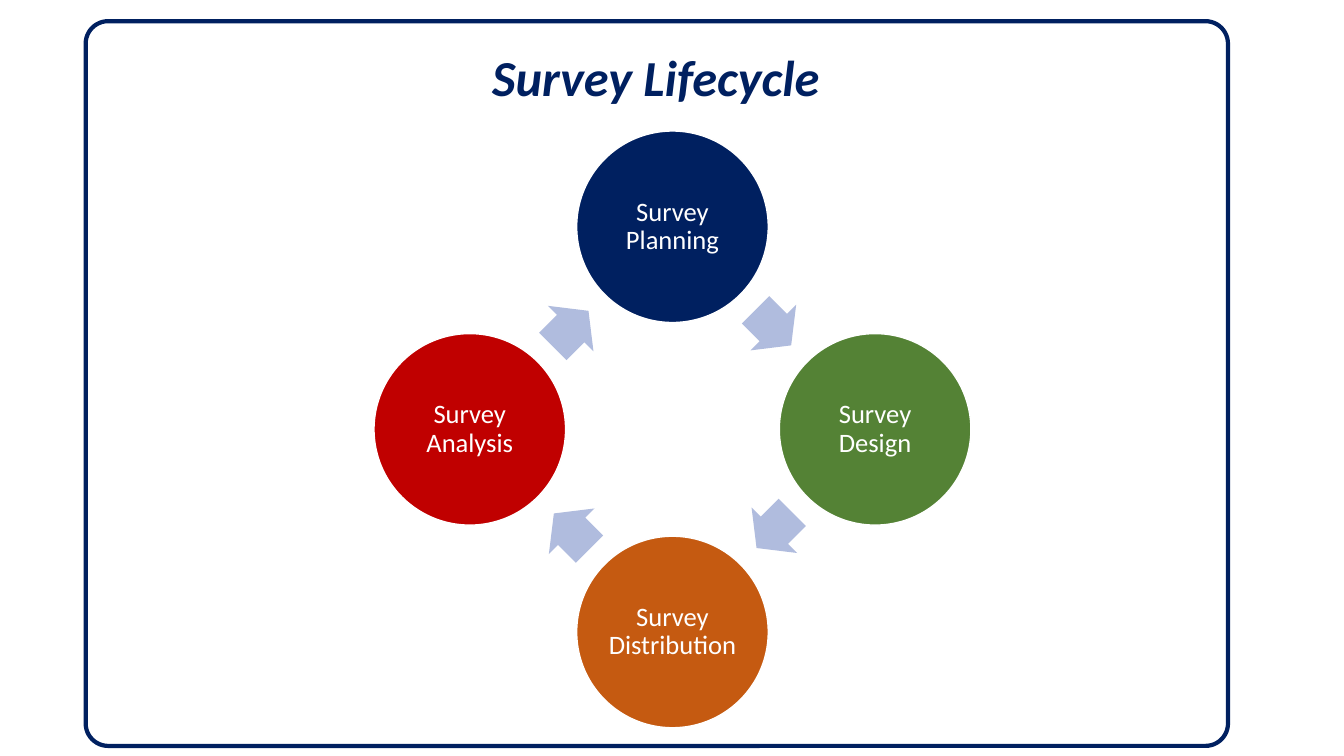
import math
from dataclasses import dataclass

from pptx import Presentation
from pptx import util as u
from pptx.dml.color import RGBColor
from pptx.enum import shapes, text

EMU_PER_PX = 9144
NAVY = RGBColor(0x00, 0x20, 0x60)
GREEN = RGBColor(0x54, 0x82, 0x35)
ORANGE = RGBColor(0xC5, 0x5A, 0x11)
RED = RGBColor(0xC0, 0x00, 0x00)
LAVENDER = RGBColor(0xB0, 0xBC, 0xDE)
WHITE = RGBColor(0xFF, 0xFF, 0xFF)

CYCLE_X, CYCLE_Y = 667, 426
ORBIT = 201
DIAMETER = 190
ARROW_LENGTH, ARROW_WIDTH = 50, 64
ARROW_SETBACK = 1


@dataclass(frozen=True)
class Stage:
    label: str
    color: RGBColor


STAGES = [
    Stage("Survey Planning", NAVY),
    Stage("Survey Design", GREEN),
    Stage("Survey Distribution", ORANGE),
    Stage("Survey Analysis", RED),
]


def px(length: float) -> u.Emu:
    return u.Emu(round(length) * EMU_PER_PX)


def write(shape, words: str, *, size: int, color: RGBColor, bold=False, italic=False,
          spacing=1.0, anchor=text.MSO_ANCHOR.MIDDLE, inset_x=3, inset_y=3) -> None:
    frame = shape.text_frame
    frame.word_wrap = True
    frame.auto_size = text.MSO_AUTO_SIZE.NONE
    frame.vertical_anchor = anchor
    frame.margin_left = frame.margin_right = px(inset_x)
    frame.margin_top = frame.margin_bottom = px(inset_y)
    paragraph = frame.paragraphs[0]
    paragraph.alignment = text.PP_ALIGN.CENTER
    paragraph.line_spacing = spacing
    run = paragraph.add_run()
    run.text = words
    run.font.name = "Calibri"
    run.font.size = u.Pt(size)
    run.font.bold = bold
    run.font.italic = italic
    run.font.color.rgb = color


def add_shape(slide, kind, left: float, top: float, width: int, height: int,
              fill: RGBColor, line=None, line_width=1):
    shape = slide.shapes.add_shape(kind, px(left), px(top), px(width), px(height))
    shape.shadow.inherit = False
    shape.fill.solid()
    shape.fill.fore_color.rgb = fill
    if line is None:
        shape.line.fill.background()
    else:
        shape.line.color.rgb = line
        shape.line.width = u.Pt(line_width)
    return shape


def draw_stage(slide, stage: Stage, angle: float) -> None:
    x = CYCLE_X + ORBIT * math.cos(angle)
    y = CYCLE_Y + ORBIT * math.sin(angle)
    circle = add_shape(slide, shapes.MSO_SHAPE.OVAL, x - DIAMETER / 2, y - DIAMETER / 2,
                       DIAMETER, DIAMETER, stage.color, WHITE)
    write(circle, stage.label, size=19, color=WHITE, spacing=0.9)


def draw_arrow(slide, angle: float) -> None:
    middle = angle + math.pi / 4
    heading = angle + 3 * math.pi / 4
    reach = ORBIT / math.sqrt(2)
    x = CYCLE_X + reach * math.cos(middle) - ARROW_SETBACK * math.cos(heading)
    y = CYCLE_Y + reach * math.sin(middle) - ARROW_SETBACK * math.sin(heading)
    arrow = add_shape(slide, shapes.MSO_SHAPE.RIGHT_ARROW, x - ARROW_LENGTH / 2,
                      y - ARROW_WIDTH / 2, ARROW_LENGTH, ARROW_WIDTH, LAVENDER)
    arrow.adjustments[0] = 0.6
    arrow.adjustments[1] = 0.5
    arrow.rotation = math.degrees(heading)


def main() -> None:
    deck = Presentation()
    deck.slide_width, deck.slide_height = px(1333), px(750)
    slide = deck.slides.add_slide(deck.slide_layouts[5])

    border = add_shape(slide, shapes.MSO_SHAPE.ROUNDED_RECTANGLE, 85, 21, 1133, 719,
                       WHITE, NAVY, 3)
    border.adjustments[0] = 0.031

    for index, stage in enumerate(STAGES):
        angle = (index - 1) * math.tau / len(STAGES)
        draw_stage(slide, stage, angle)
        draw_arrow(slide, angle)

    title = slide.shapes.title
    title.left, title.top, title.width, title.height = px(104), px(41), px(1093), px(71)
    write(title, "Survey Lifecycle", size=36, color=NAVY, bold=True, italic=True,
          anchor=text.MSO_ANCHOR.TOP, inset_x=10, inset_y=5)
    title.element.getparent().append(title.element)

    deck.save("out.pptx")


if __name__ == "__main__":
    main()
